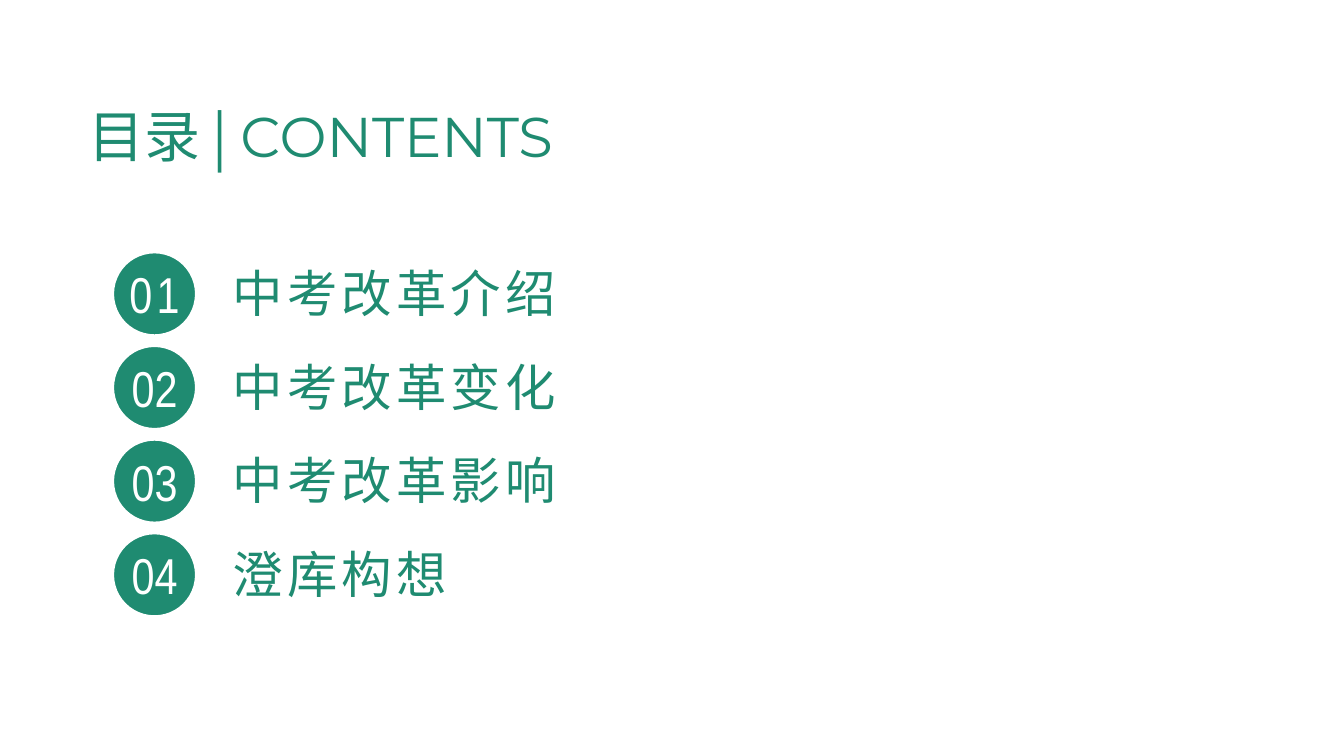
import pptx
import pptx.util
import pptx.dml.color
import pptx.enum.shapes
import pptx.enum.text
import pptx.oxml.ns
import lxml.etree

Cm, Pt = pptx.util.Cm, pptx.util.Pt
ALIGN = pptx.enum.text.PP_ALIGN
ANCHOR = pptx.enum.text.MSO_ANCHOR

# Content
COLORS = {"green": "1F8B71", "white": "FFFFFF"}
CJK, LATIN, NARROW = "Noto Sans CJK SC", "Montserrat", "Arial Narrow"
TITLE = [("目录 | ", CJK), ("CONTENTS", LATIN)]
# Number, letter spacing of the number in points, chapter
CHAPTERS = [
    ("01", 3, "中考改革介绍"),
    ("02", 0, "中考改革变化"),
    ("03", 0, "中考改革影响"),
    ("04", 0, "澄库构想"),
]

# Layout in centimetres
FIRST_TOP, ROW_PITCH = 6.35, 2.36
CIRCLE_LEFT, CIRCLE_SIZE = 2.84, 2.11
CHAPTER_LEFT, CHAPTER_OFFSET, CHAPTER_HEIGHT = 5.61, 0.13, 1.8
CHARACTER_WIDTH, SIDE_INSETS = 1.385, 0.53


def rgb(name):
    return pptx.dml.color.RGBColor.from_string(COLORS[name])


def add_run(paragraph, text, font_name, size, color, spacing=0):
    run = paragraph.add_run()
    run.text = text
    run.font.size = Pt(size)
    run.font.color.rgb = rgb(color)
    run.font.name = font_name
    properties = run.font._element
    east_asian = lxml.etree.SubElement(properties, pptx.oxml.ns.qn("a:ea"))
    east_asian.set("typeface", font_name)
    if spacing:
        properties.set("spc", str(spacing * 100))


def fit_to_text(text_frame):
    text_frame.word_wrap = False
    text_frame.auto_size = pptx.enum.text.MSO_AUTO_SIZE.SHAPE_TO_FIT_TEXT
    text_frame.vertical_anchor = ANCHOR.TOP


def add_title(slide):
    title = slide.shapes.title
    title.left, title.top = Cm(1.4), Cm(2.44)
    title.width, title.height = Cm(13.36), Cm(1.96)
    fit_to_text(title.text_frame)
    paragraph = title.text_frame.paragraphs[0]
    paragraph.alignment = ALIGN.CENTER
    for text, font_name in TITLE:
        add_run(paragraph, text, font_name, 40, "green")


def add_chapter(slide, top, number, spacing, chapter):
    # Chapter name
    width = SIDE_INSETS + CHARACTER_WIDTH * len(chapter)
    box = slide.shapes.add_textbox(Cm(CHAPTER_LEFT), Cm(top + CHAPTER_OFFSET),
                                   Cm(width), Cm(CHAPTER_HEIGHT))
    fit_to_text(box.text_frame)
    add_run(box.text_frame.paragraphs[0], chapter, CJK, 36, "green", 3)

    # Numbered circle
    circle = slide.shapes.add_shape(pptx.enum.shapes.MSO_SHAPE.OVAL, Cm(CIRCLE_LEFT),
                                    Cm(top), Cm(CIRCLE_SIZE), Cm(CIRCLE_SIZE))
    circle.shadow.inherit = False
    circle.fill.solid()
    circle.fill.fore_color.rgb = rgb("green")
    circle.line.color.rgb = rgb("white")
    circle.line.width = Pt(2)
    frame = circle.text_frame
    frame.margin_left = frame.margin_right = frame.margin_top = frame.margin_bottom = 0
    frame.vertical_anchor = ANCHOR.MIDDLE
    frame.paragraphs[0].alignment = ALIGN.CENTER
    add_run(frame.paragraphs[0], number, NARROW, 36, "white", spacing)


def main():
    presentation = pptx.Presentation()
    presentation.slide_width, presentation.slide_height = Cm(33.87), Cm(19.05)
    slide = presentation.slides.add_slide(presentation.slide_layouts[5])
    add_title(slide)
    for row, (number, spacing, chapter) in enumerate(CHAPTERS):
        add_chapter(slide, FIRST_TOP + row * ROW_PITCH, number, spacing, chapter)
    presentation.save("out.pptx")


if __name__ == "__main__":
    main()
